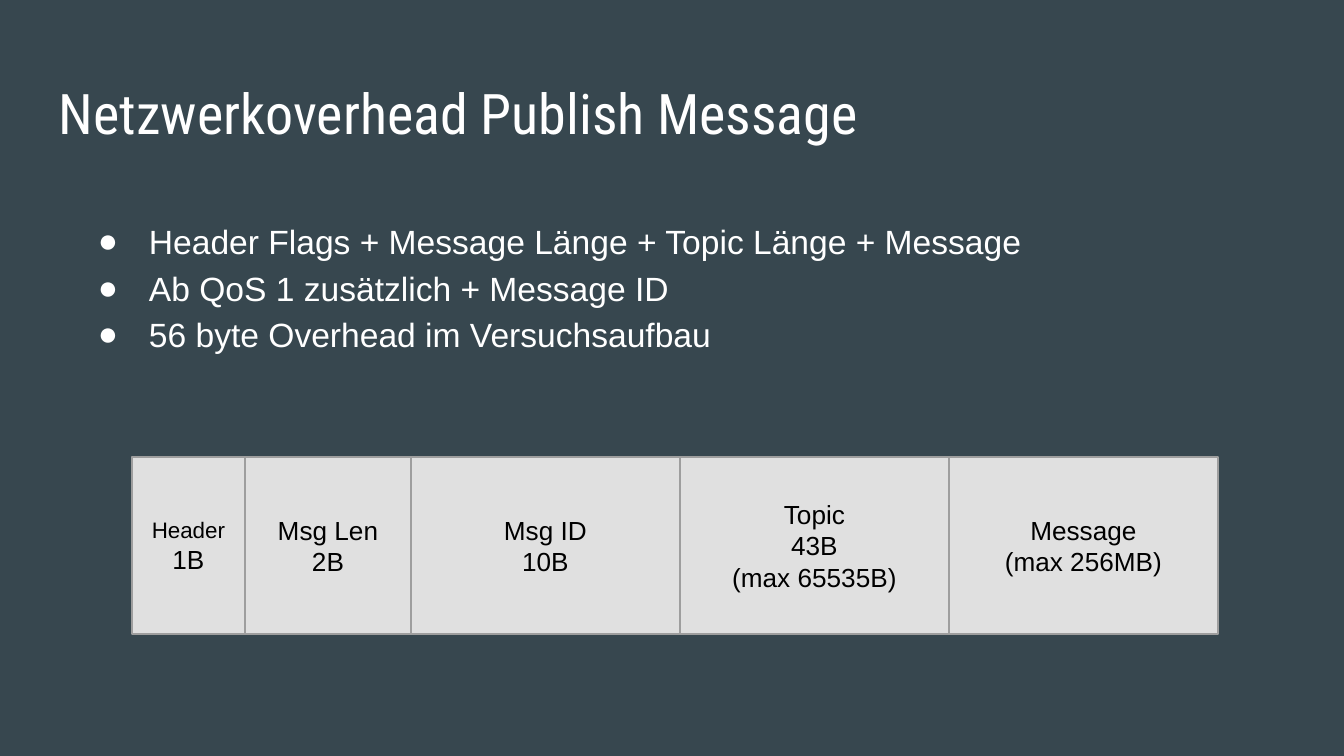
from lxml import etree
from pptx import Presentation
from pptx.dml.color import RGBColor
from pptx.enum.shapes import MSO_SHAPE
from pptx.enum.text import MSO_ANCHOR, PP_ALIGN
from pptx.oxml.ns import qn
from pptx.util import Emu, Pt

RECTANGLE = MSO_SHAPE.RECTANGLE
TOP, MIDDLE = MSO_ANCHOR.TOP, MSO_ANCHOR.MIDDLE
LEFT, CENTER = PP_ALIGN.LEFT, PP_ALIGN.CENTER
EMU_PER_PX = 914400 / 134.4
INSET = 13
WHITE, BLACK = "FFFFFF", "000000"
BACKGROUND, FIELD_FILL, FIELD_LINE = "37474F", "E0E0E0", "9E9E9E"

BULLETS = [
    "Header Flags + Message Länge + Topic Länge + Message",
    "Ab QoS 1 zusätzlich + Message ID",
    "56 byte Overhead im Versuchsaufbau",
]
FIELDS = [
    (113, [("Header", 12), ("1B", 14)]),
    (166, [("Msg Len", 14), ("2B", 14)]),
    (269, [("Msg ID", 14), ("10B", 14)]),
    (269, [("Topic", 14), ("43B", 14), ("(max 65535B)", 14)]),
    (269, [("Message", 14), ("(max 256MB)", 14)]),
]


def px(length):
    """Turn a length in px into EMU."""
    return Emu(round(length * EMU_PER_PX))


def color(value):
    """Turn a hex string into a colour."""
    return RGBColor.from_string(value)


def set_attributes(target, values):
    """Set each named value on the target."""
    for name, value in values.items():
        setattr(target, name, value)


def write_lines(shape, lines, font_name, font_color, anchor=TOP, alignment=LEFT):
    """Fill a shape with one paragraph for each text and size."""
    frame = shape.text_frame
    margins = {f"margin_{side}": px(INSET) for side in ("left", "top", "right", "bottom")}
    set_attributes(frame, {"word_wrap": True, "vertical_anchor": anchor, **margins})
    for index, (text, size) in enumerate(lines):
        paragraph = frame.add_paragraph() if index else frame.paragraphs[0]
        paragraph.alignment = alignment
        run = paragraph.add_run()
        run.text = text
        set_attributes(run.font, {"name": font_name, "size": Pt(size)})
        run.font.color.rgb = color(font_color)


def add_text(slide, box, lines, font_name):
    """Add a white text box and return it."""
    shape = slide.shapes.add_textbox(*map(px, box))
    write_lines(shape, lines, font_name, WHITE)
    return shape


def add_bullet(paragraph):
    """Give a paragraph a round white bullet and a hanging indent."""
    paragraph.line_spacing = 1.15
    properties = paragraph._p.get_or_add_pPr()
    properties.set("marL", str(px(67)))
    properties.set("indent", str(-px(51)))
    bullet_color = etree.SubElement(properties, qn("a:buClr"))
    etree.SubElement(bullet_color, qn("a:srgbClr"), val=WHITE)
    etree.SubElement(properties, qn("a:buFont"), typeface="Arial")
    etree.SubElement(properties, qn("a:buChar"), char="●")


def add_field(slide, left, width, lines):
    """Add one field of the message layout."""
    shape = slide.shapes.add_shape(RECTANGLE, *map(px, (left, 457, width, 177)))
    shape.shadow.inherit = False
    shape.fill.solid()
    shape.fill.fore_color.rgb = color(FIELD_FILL)
    shape.line.color.rgb = color(FIELD_LINE)
    shape.line.width = Pt(0.75)
    write_lines(shape, lines, "Arial", BLACK, MIDDLE, CENTER)


def main():
    """Build the slide and save it."""
    presentation = Presentation()
    set_attributes(presentation, {"slide_width": px(1344), "slide_height": px(756)})
    slide = presentation.slides.add_slide(presentation.slide_layouts[6])
    slide.background.fill.solid()
    slide.background.fill.fore_color.rgb = color(BACKGROUND)

    title = [("Netzwerkoverhead Publish Message", 30)]
    add_text(slide, (46, 66, 1253, 85), title, "Roboto Condensed")
    body = add_text(slide, (69, 202, 1177, 195), [(text, 18) for text in BULLETS], "Arial")
    for paragraph in body.text_frame.paragraphs:
        add_bullet(paragraph)

    left = 132
    for width, lines in FIELDS:
        add_field(slide, left, width, lines)
        left += width
    presentation.save("out.pptx")


if __name__ == "__main__":
    main()
